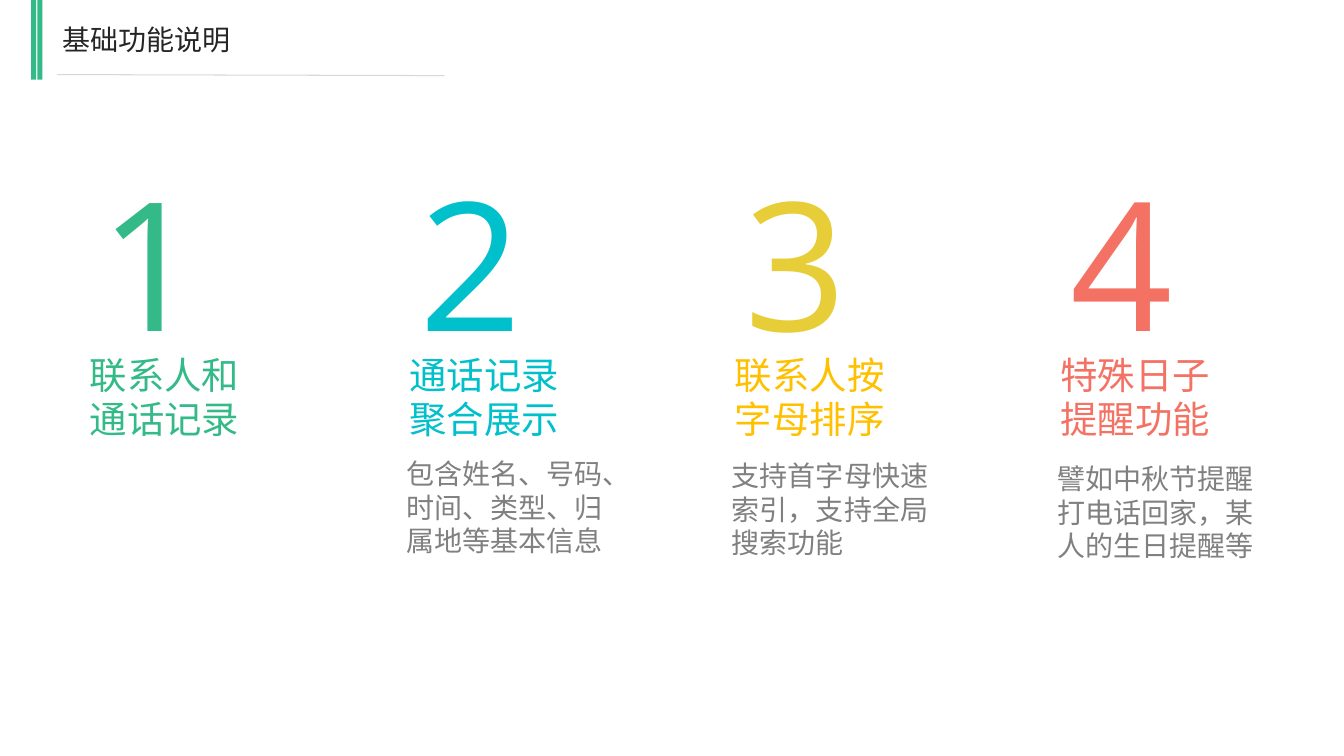
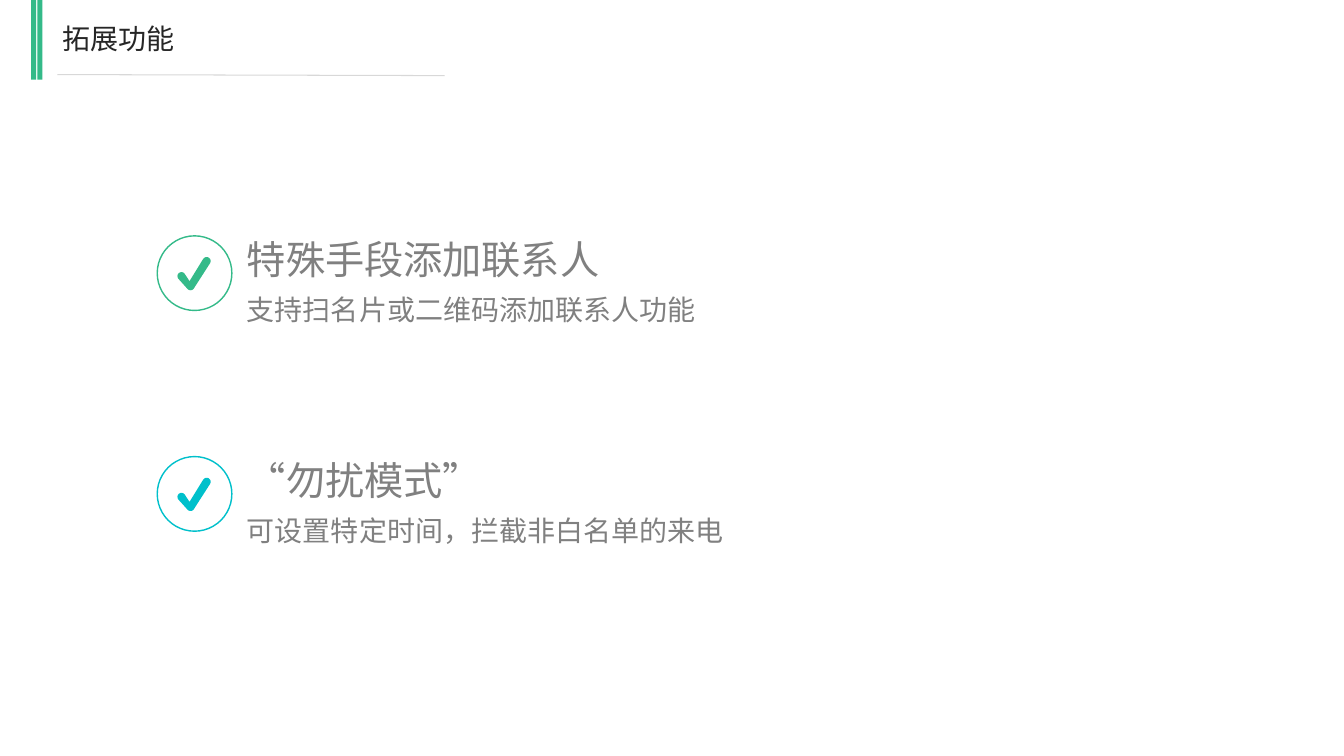
from math import cos, sin, radians
from lxml.etree import SubElement as Sub
from pptx import Presentation
from pptx.dml.color import RGBColor as RGB
from pptx.enum.shapes import MSO_CONNECTOR as Conn, MSO_SHAPE as Shape
from pptx.enum.text import MSO_ANCHOR as Anchor, MSO_AUTO_SIZE as Auto, PP_ALIGN as Align
from pptx.oxml.ns import qn
from pptx.util import Inches as In, Pt

GREEN = RGB(0x34, 0xBA, 0x89)
CYAN = RGB(0x00, 0xC0, 0xCB)
GOLD = RGB(0xE7, 0xCE, 0x39)
AMBER = RGB(0xFF, 0xC0, 0x00)
CORAL = RGB(0xF4, 0x72, 0x64)
GRAY = RGB(0x80, 0x80, 0x80)
DARK = RGB(0x26, 0x26, 0x26)
PALE = RGB(0xD8, 0xD8, 0xD8)
CJK, LATIN = "Noto Sans CJK SC", "Open Sans"

deck = Presentation()
deck.slide_width, deck.slide_height = In(13.33), In(7.5)


def write(box, area, text, size, color, face=CJK, align=Align.LEFT):
    """Place a text box or placeholder and set its one paragraph."""
    box.left, box.top, box.width, box.height = map(In, area)
    frame = box.text_frame
    frame.text = text
    frame.word_wrap = True
    frame.auto_size = Auto.SHAPE_TO_FIT_TEXT
    frame.vertical_anchor = Anchor.TOP
    para = frame.paragraphs[0]
    para.alignment = align
    font = para.font
    font.size, font.name = Pt(size), face
    font.color.rgb = color
    props = para._p.pPr.find(qn("a:defRPr"))
    Sub(props, qn("a:ea")).set("typeface", face)


def start(title, top):
    """Add a slide with the shared title, side bars and rule."""
    slide = deck.slides.add_slide(deck.slide_layouts[5])
    for left in (0.31, 0.37):
        bar = slide.shapes.add_shape(Shape.RECTANGLE, In(left), 0, In(0.05), In(0.79))
        bar.shadow.inherit = False
        bar.fill.solid()
        bar.fill.fore_color.rgb = GREEN
        bar.line.fill.background()
    write(slide.shapes.title, (0.52, top, 4.23, 0.44), title, 20, DARK)
    rule = slide.shapes.add_connector(Conn.STRAIGHT, In(0.57), In(0.74), In(4.41), In(0.75))
    rule.line.color.rgb, rule.line.width = PALE, Pt(0.75)
    Sub(rule._element.spPr, qn("a:effectLst"))
    return slide


# Basic features: four numbered columns
slide = start("基础功能说明", 0.17)
cols = [
    (0.79, "联系人和通话记录", GREEN, GREEN, "", 0),
    (3.96, "通话记录聚合展示", CYAN, CYAN, "包含姓名、号码、时间、类型、归属地等基本信息", 4.48),
    (7.19, "联系人按字母排序", GOLD, AMBER, "支持首字母快速索引，支持全局搜索功能", 4.5),
    (10.42, "特殊日子提醒功能", CORAL, CORAL, "譬如中秋节提醒打电话回家，某人的生日提醒等", 4.53),
]
for num, (left, head, tint, hue, body, top) in enumerate(cols, 1):
    items = [
        ((left, 3.44, 1.98, 1), head, 26.7, hue),
        ((left + 0.1, 1.46, 0.83, 2.26), str(num), 128, tint, LATIN, Align.CENTER),
    ]
    if body:
        items.append(((left - 0.03, top, 2.25, 1.11), body, 20, GRAY))
    for item in items:
        write(slide.shapes.add_textbox(0, 0, 0, 0), *item)

# Extended features: two rows with a tick in a ring
slide = start("拓展功能", 0.16)
rows = [
    (2.34, "特殊手段添加联系人", "支持扫名片或二维码添加联系人功能", 4.77, 0.51, GREEN),
    (4.53, "“勿扰模式”", "可设置特定时间，拦截非白名单的来电", 5.17, 0.52, CYAN),
]
# The tick: arcs as centre x, centre y, radius, first and last angle
arcs = [
    (0.24, 0.4, 0.04, 140, 320),
    (0.32, 0.45, 0, 0, 0),
    (0.49, 0.25, 0.04, 213, 393),
    (0.33, 0.5, 0.04, 33, 140),
]
STEPS = 8
for top, head, body, width, drop, hue in rows:
    ring = slide.shapes.add_shape(Shape.OVAL, In(1.56), In(top), In(0.74), In(0.74))
    ring.shadow.inherit = False
    ring.fill.background()
    ring.line.color.rgb, ring.line.width = hue, Pt(1)

    dots = []
    for x, y, r, first, last in arcs:
        for step in range(STEPS + 1):
            turn = radians(first + (last - first) * step / STEPS)
            dots.append((In(1.56 + x + r * cos(turn)), In(top + y + r * sin(turn))))
    pen = slide.shapes.build_freeform(*dots[0])
    pen.add_line_segments(dots[1:], close=True)
    tick = pen.convert_to_shape()
    tick.shadow.inherit = False
    tick.fill.solid()
    tick.fill.fore_color.rgb = hue
    tick.line.fill.background()

    write(slide.shapes.add_textbox(0, 0, 0, 0), (2.35, top - 0.05, 4.58, 0.57), head, 28, GRAY)
    write(slide.shapes.add_textbox(0, 0, 0, 0), (2.35, top + drop, width, 0.44), body, 20, GRAY)

deck.save("out.pptx")
